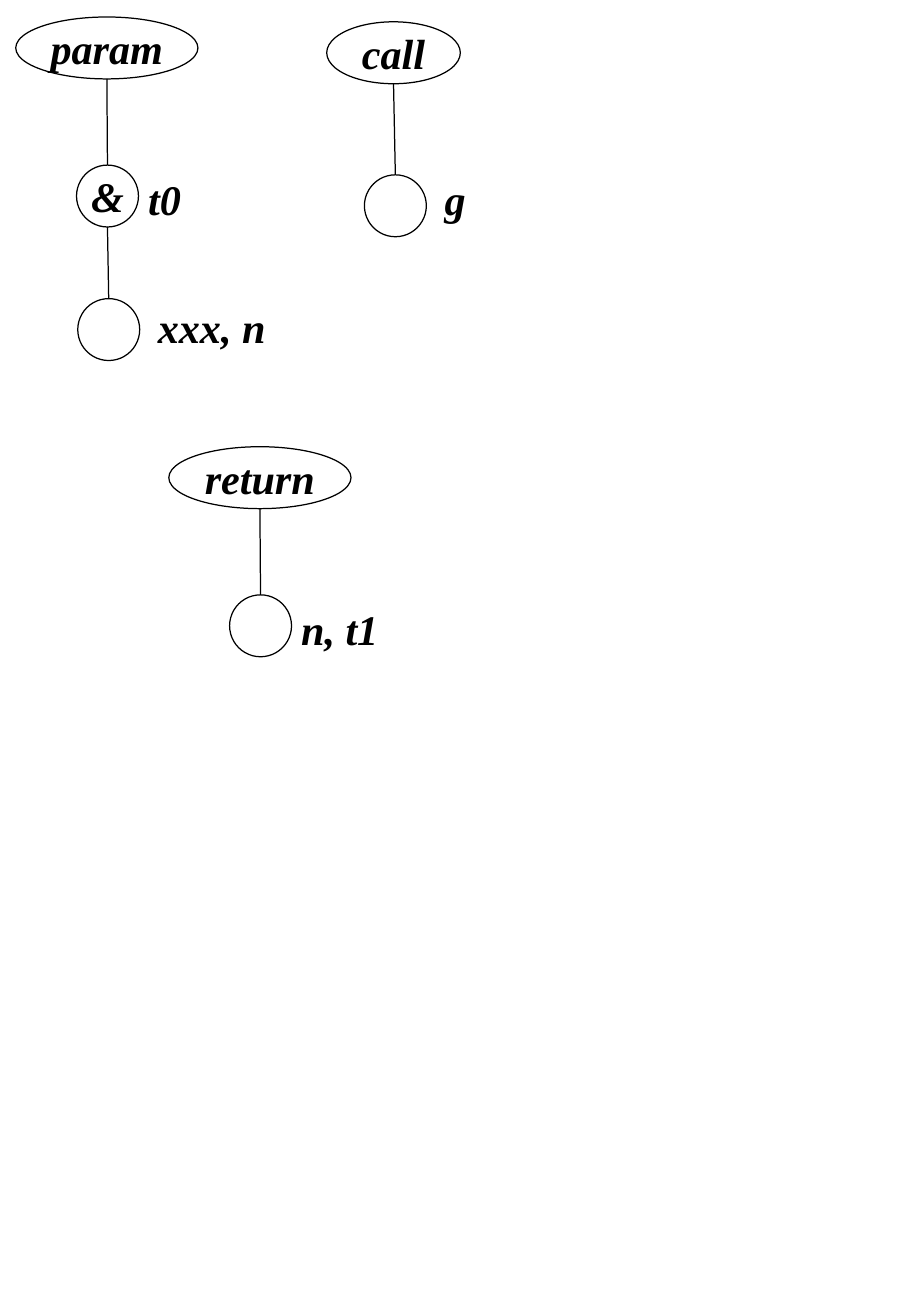
import pptx
import pptx.dml.color
import pptx.enum.shapes
import pptx.enum.text
import pptx.oxml.ns
import pptx.util
from lxml import etree
from pptx.util import Inches

COLORS = {"ink": "000000"}
NODE_SIZE = 0.51
LABEL_WIDTH, LABEL_HEIGHT = 1.06, 0.47

TREES = [
    {"box": (0.13, 0.14, 1.5), "root": "param", "nodes": [
        ("&", (0.5, 1.22), "t0", (0.48, 0.04)),
        ("", (0.51, 2.32), "xxx, n", (0.55, 0)),
    ]},
    {"box": (2.69, 0.18, 1.1), "root": "call", "nodes": [
        ("", (0.31, 1.26), "g", (0.55, -0.04)),
    ]},
    {"box": (1.39, 3.68, 1.5), "root": "return", "nodes": [
        ("", (0.5, 1.22), "n, t1", (0.48, 0.04)),
    ]},
]


def ink():
    """Return the colour of all text and lines."""
    return pptx.dml.color.RGBColor.from_string(COLORS["ink"])


def write(frame, words, align):
    """Write one bold italic line, centred vertically in its frame."""
    frame.vertical_anchor = pptx.enum.text.MSO_ANCHOR.MIDDLE
    paragraph = frame.paragraphs[0]
    paragraph.alignment = align
    run = paragraph.add_run()
    run.text = words
    run.font.name = "Times New Roman"
    run.font.size = pptx.util.Pt(25)
    run.font.bold = run.font.italic = True
    run.font.color.rgb = ink()


def add_node(slide, left, top, width, symbol):
    """Draw an outlined ellipse with an optional symbol inside."""
    node = slide.shapes.add_shape(
        pptx.enum.shapes.MSO_SHAPE.OVAL,
        Inches(left), Inches(top), Inches(width), Inches(NODE_SIZE))
    node.shadow.inherit = False
    node.fill.background()
    node.line.color.rgb = ink()
    node.line.width = pptx.util.Pt(0.75)
    if symbol:
        node.text_frame.word_wrap = False
        write(node.text_frame, symbol, pptx.enum.text.PP_ALIGN.CENTER)
    return node


def add_label(slide, left, top, words):
    """Place the names that belong to a node beside it."""
    label = slide.shapes.add_textbox(
        Inches(left), Inches(top), Inches(LABEL_WIDTH), Inches(LABEL_HEIGHT))
    frame = label.text_frame
    frame.word_wrap = True
    frame.margin_left, frame.margin_right = Inches(0.11), 0
    write(frame, words, pptx.enum.text.PP_ALIGN.LEFT)


def add_edge(slide, parent, child):
    """Join the bottom of a parent to the top of its child."""
    edge = slide.shapes.add_connector(
        pptx.enum.shapes.MSO_CONNECTOR.STRAIGHT,
        parent.left + parent.width // 2, parent.top + parent.height,
        child.left + child.width // 2, child.top)
    edge.line.color.rgb = ink()
    edge.line.width = pptx.util.Pt(0.75)
    etree.SubElement(edge._element.spPr, pptx.oxml.ns.qn("a:effectLst"))


def draw_tree(slide, box, root, nodes):
    """Draw a root and the chain of labelled nodes below it."""
    left, top, width = box
    parent = add_node(slide, left, top, width, root)
    for symbol, (across, down), names, (label_across, label_down) in nodes:
        node_left, node_top = left + across, top + down
        child = add_node(slide, node_left, node_top, NODE_SIZE, symbol)
        add_label(slide, node_left + label_across, node_top + label_down, names)
        add_edge(slide, parent, child)
        parent = child


def main():
    """Build the slide of syntax trees and save it."""
    deck = pptx.Presentation()
    deck.slide_width, deck.slide_height = Inches(7.5), Inches(10.84)
    slide = deck.slides.add_slide(deck.slide_layouts[6])
    for tree in TREES:
        draw_tree(slide, **tree)
    deck.save("out.pptx")


if __name__ == "__main__":
    main()
